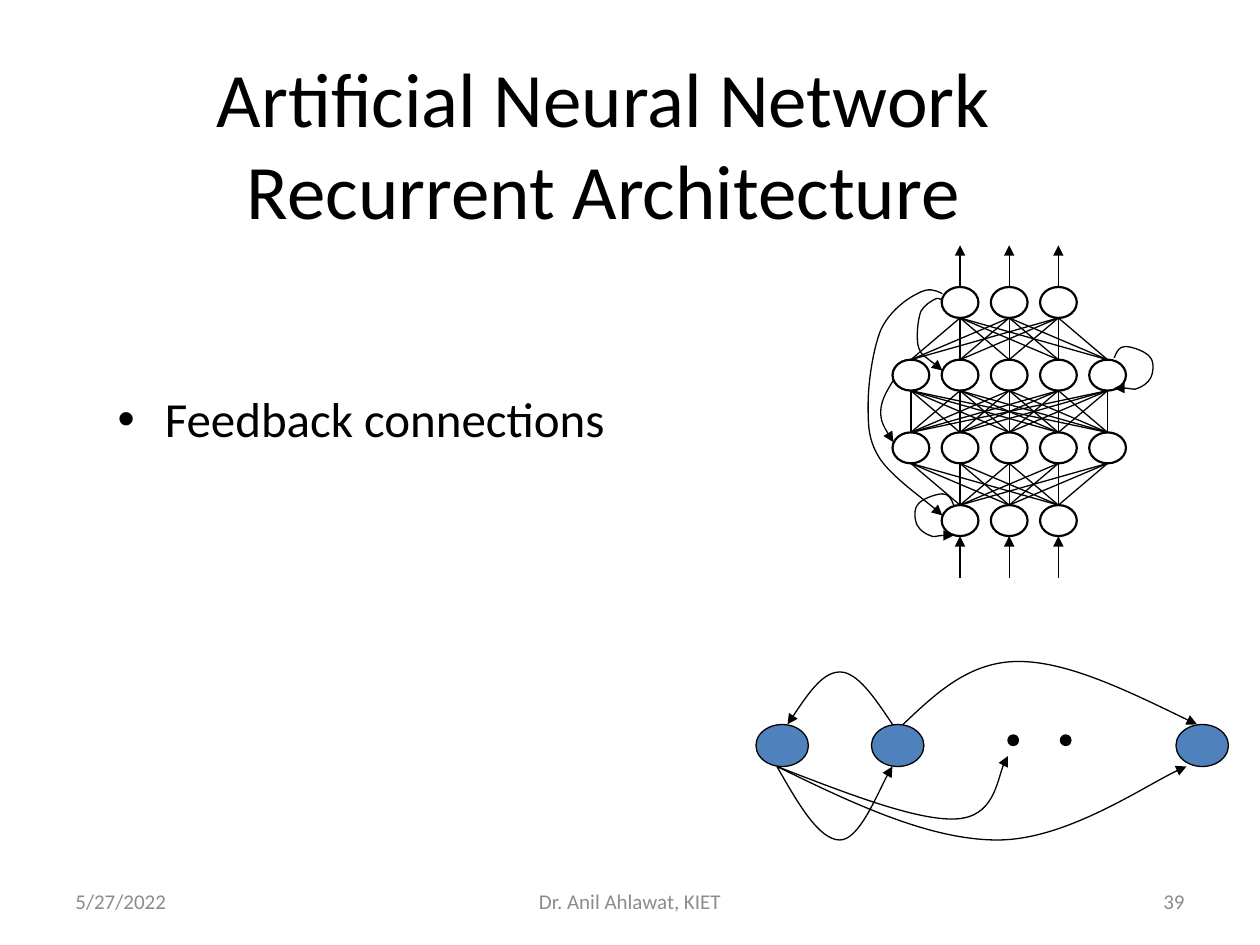
from dataclasses import dataclass
from itertools import product

from lxml import etree
from pptx import Presentation
from pptx.dml.color import RGBColor
from pptx.enum.shapes import MSO_CONNECTOR, MSO_SHAPE
from pptx.enum.text import MSO_ANCHOR, MSO_AUTO_SIZE, PP_ALIGN
from pptx.oxml.ns import qn
from pptx.util import Pt

OVAL, STRAIGHT = MSO_SHAPE.OVAL, MSO_CONNECTOR.STRAIGHT
LEFT, CENTER, RIGHT = PP_ALIGN.LEFT, PP_ALIGN.CENTER, PP_ALIGN.RIGHT
TOP, MIDDLE, NO_FIT = MSO_ANCHOR.TOP, MSO_ANCHOR.MIDDLE, MSO_AUTO_SIZE.NONE


@dataclass(frozen=True)
class Theme:
    font: str = "Calibri"
    black: str = "000000"
    white: str = "FFFFFF"
    blue: str = "4F81BD"
    grey: str = "8C8C8C"
    title_size: float = 44
    body_size: float = 28
    footer_size: float = 12
    thin: float = 0.75
    thick: float = 1.25


THEME = Theme()

TITLE = ["Artificial Neural Network", "Recurrent Architecture"]
TITLE_BOX = (24, 24, 642, 115)
BULLET = "Feedback connections"
BODY_BOX = (60, 222, 330, 258)
BULLET_INDENT = 27
FOOTERS = [  # text, left, width, alignment
    ("5/27/2022", 36, 168, LEFT),
    ("Dr. Anil Ahlawat, KIET", 246, 228, CENTER),
    ("39", 516, 168, RIGHT),
]
FOOTER_TOP, FOOTER_HEIGHT = 500.5, 28.75

# Layered network, output layer first
LAYERS = [3, 5, 5, 3]
NETWORK_CENTER, NETWORK_TOP = 576.7, 164
NODE_WIDTH, NODE_HEIGHT = 21, 17.7
NODE_PITCH, LAYER_PITCH = 28.1, 41.55
ARROW_LENGTH = 23.8

# Curves: a start point, then two control points and an end point per segment
INPUT_LOOP = [
    (545, 288.7), (543.6, 285.1), (542.2, 282.2), (538.6, 282.2),
    (535, 282.2), (526.3, 285.1), (524.2, 288.7),
    (522, 291.6), (522.7, 297.4), (524.2, 300.2),
    (525.6, 303.1), (529.2, 305.3), (531.4, 306),
    (533.5, 307.4), (535.7, 306), (538.6, 306),
    (540.7, 306), (544.3, 306), (545, 306),
]
LOOP_MIRROR, LOOP_RISE = 1181.7, 84.2
HIDDEN_LOOP = [(LOOP_MIRROR - x, y - LOOP_RISE) for x, y in INPUT_LOOP]
FEEDBACK_CURVES = [
    [(538.5, 167.8), (534.2, 165.6), (530.6, 164.2), (524.2, 167.8),
     (518.4, 170.6), (508.3, 177.8), (503.3, 188.6),
     (499, 199.4), (496.1, 218.2), (496.1, 231.1),
     (496.1, 243.4), (496.1, 252), (503.3, 262.8),
     (510.5, 272.9), (532.8, 288.7), (538.5, 294.5)],
    [(538.5, 171.4), (537.1, 170.6), (535.7, 169.9), (533.5, 171.4),
     (532.1, 172.1), (528.5, 174.2), (526.3, 177.8),
     (524.9, 181.4), (524.2, 187.2), (524.2, 191.5),
     (524.2, 195.1), (524.2, 198), (526.3, 201.6),
     (529.2, 204.5), (536.4, 209.5), (538.5, 211.7)],
    [(510.5, 217.4), (506.9, 223.2), (503.3, 229), (503.3, 235.4),
     (503.3, 241.2), (506.9, 247), (510.5, 252.7)],
    INPUT_LOOP,
    HIDDEN_LOOP,
]

# Chain of units
CHAIN_LEFTS, CHAIN_TOP, CHAIN_WIDTH, CHAIN_HEIGHT = [432, 498, 672], 414, 30, 24
DOT_LEFTS, DOT_TOP, DOT_SIZE = [576, 606], 420, 6
CHAIN_CURVES = [
    [(444, 438), (456, 459), (468, 480), (480, 480),
     (491, 480), (505, 445), (510, 438)],
    [(444, 438), (487, 459), (531, 480), (570, 480),
     (609, 480), (660, 445), (678, 438)],
    [(444, 438), (484, 453.5), (524, 469), (546, 468),
     (568, 467), (571, 438), (576, 432)],
    [(510, 414), (500, 399), (490, 384), (480, 384),
     (470, 384), (460, 399), (450, 414)],
    [(516, 414), (535, 396), (554, 378), (582, 378),
     (610, 378), (647, 396), (684, 414)],
]


def color(name):
    return RGBColor.from_string(name)


def place(shape, box):
    shape.left, shape.top, shape.width, shape.height = map(Pt, box)


def prepare_frame(shape, anchor):
    frame = shape.text_frame
    frame.word_wrap = True
    frame.auto_size = NO_FIT
    frame.vertical_anchor = anchor
    return frame


def add_text(para, text, size, ink=THEME.black):
    span = para.add_run()
    span.text = text
    span.font.name, span.font.size = THEME.font, Pt(size)
    span.font.color.rgb = color(ink)


def style_line(shape, width=THEME.thin, arrow=False):
    shape.line.color.rgb = color(THEME.black)
    shape.line.width = Pt(width)
    if arrow:
        line = shape._element.spPr.find(qn("a:ln"))
        etree.SubElement(line, qn("a:tailEnd"), type="triangle")


def add_oval(group, box, fill, width=THEME.thin):
    oval = group.shapes.add_shape(OVAL, *map(Pt, box))
    oval.shadow.inherit = False
    oval.fill.solid()
    oval.fill.fore_color.rgb = color(fill)
    style_line(oval, width)


def add_link(group, start, end, arrow=False):
    link = group.shapes.add_connector(STRAIGHT, *map(Pt, start + end))
    style_line(link, arrow=arrow)
    etree.SubElement(link._element.spPr, qn("a:effectLst"))


def add_curve(group, points):
    """Draw a freeform and turn each three of its segments into one Bezier."""
    first, *rest = [(Pt(x), Pt(y)) for x, y in points]
    builder = group.shapes.build_freeform(*first)
    builder.add_line_segments(rest, close=False)
    curve = builder.convert_to_shape()
    outline = next(curve._element.iter(qn("a:path")))
    segments = outline.findall(qn("a:lnTo"))
    for index in range(0, len(segments), 3):
        bezier = etree.SubElement(outline, qn("a:cubicBezTo"))
        for segment in segments[index:index + 3]:
            bezier.append(segment[0])
            outline.remove(segment)
    curve.fill.background()
    curve.shadow.inherit = False
    style_line(curve, arrow=True)


def add_network(page):
    group = page.shapes.add_group_shape()
    tops = [NETWORK_TOP + row * LAYER_PITCH for row in range(len(LAYERS))]
    layers = [[NETWORK_CENTER + (i - (count - 1) / 2) * NODE_PITCH for i in range(count)]
              for count in LAYERS]
    for top, centers in zip(tops, layers):
        for x in centers:
            add_oval(group, (x - NODE_WIDTH / 2, top, NODE_WIDTH, NODE_HEIGHT),
                     THEME.white, THEME.thick)
    for row in range(len(LAYERS) - 1):
        for upper, lower in product(layers[row], layers[row + 1]):
            add_link(group, (upper, tops[row] + NODE_HEIGHT), (lower, tops[row + 1]))
    for centers, tail in ((layers[-1], tops[-1] + NODE_HEIGHT + ARROW_LENGTH),
                          (layers[0], tops[0])):
        for x in centers:
            add_link(group, (x, tail), (x, tail - ARROW_LENGTH), arrow=True)
    for points in FEEDBACK_CURVES:
        add_curve(group, points)


def add_chain(page):
    group = page.shapes.add_group_shape()
    for left in CHAIN_LEFTS:
        add_oval(group, (left, CHAIN_TOP, CHAIN_WIDTH, CHAIN_HEIGHT), THEME.blue)
    for points in CHAIN_CURVES:
        add_curve(group, points)
    for left in DOT_LEFTS:
        add_oval(group, (left, DOT_TOP, DOT_SIZE, DOT_SIZE), THEME.black)


def main():
    deck = Presentation()
    deck.slide_width, deck.slide_height = Pt(720), Pt(540)
    page = deck.slides.add_slide(deck.slide_layouts[1])
    title, body = page.placeholders

    place(title, TITLE_BOX)
    para = prepare_frame(title, MIDDLE).paragraphs[0]
    para.alignment = CENTER
    for index, text in enumerate(TITLE):
        if index:
            para.add_line_break()
        add_text(para, text, THEME.title_size)

    place(body, BODY_BOX)
    para = prepare_frame(body, TOP).paragraphs[0]
    para.line_spacing = 0.9
    indent = Pt(BULLET_INDENT)
    properties = para._p.get_or_add_pPr()
    properties.set("marL", str(indent))
    properties.set("indent", str(-indent))
    add_text(para, BULLET, THEME.body_size)

    add_network(page)
    add_chain(page)
    for text, left, width, alignment in FOOTERS:
        box = page.shapes.add_textbox(*map(Pt, (left, FOOTER_TOP, width, FOOTER_HEIGHT)))
        para = prepare_frame(box, MIDDLE).paragraphs[0]
        para.alignment = alignment
        add_text(para, text, THEME.footer_size, THEME.grey)
    deck.save("out.pptx")


if __name__ == "__main__":
    main()
